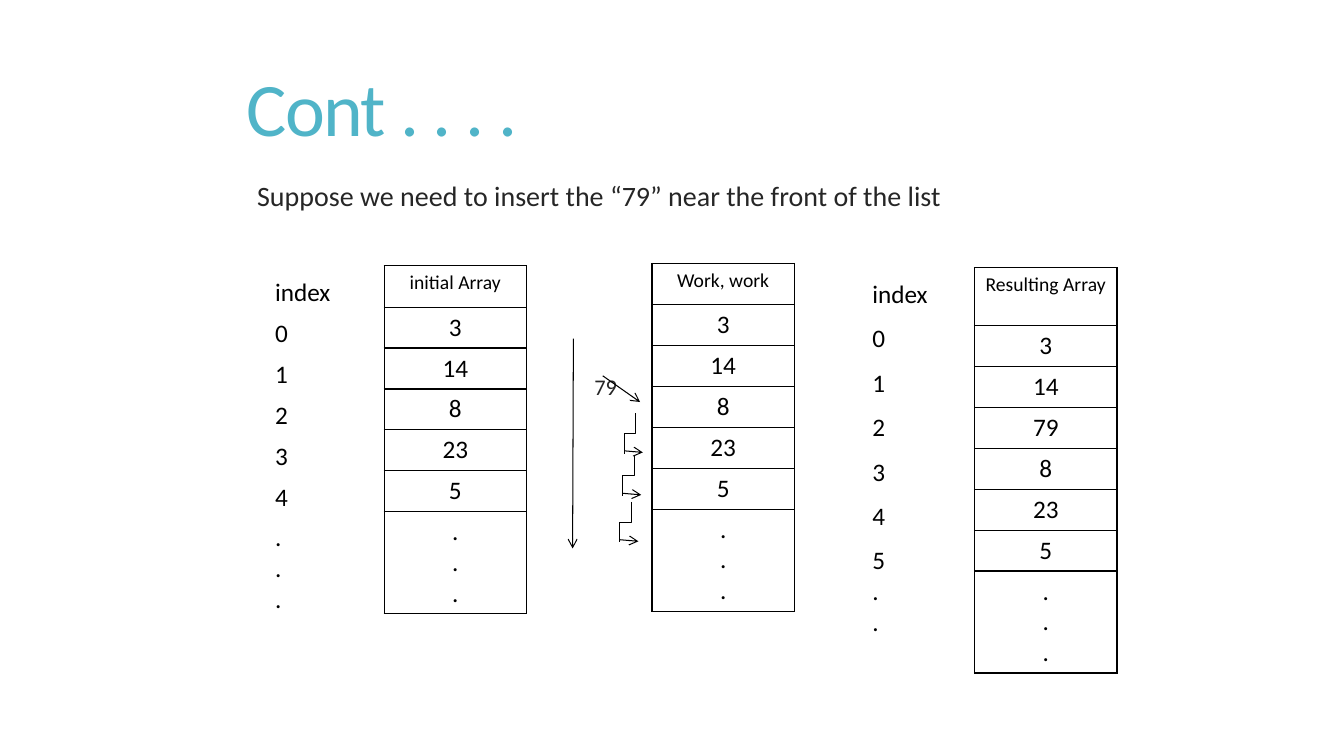
"""Slide showing how inserting 79 near the front shifts the rest of an array."""
from lxml import etree
from pptx import Presentation
from pptx import util as u
from pptx.dml.color import RGBColor
from pptx.enum import shapes, text
from pptx.oxml import parse_xml
from pptx.oxml.ns import nsdecls, qn

Cm = u.Cm
BLACK, WHITE, GREY, TEAL = "000000", "FFFFFF", "262626", "50B4C8"


def color(value):
    return RGBColor.from_string(value)


def connect(kind, x1, y1, x2, y2, arrow=True):
    c = s.shapes.add_connector(kind, Cm(x1), Cm(y1), Cm(x2), Cm(y2))
    c.line.width = u.Pt(0.75)
    c.line.color.rgb = color(BLACK)
    if arrow:
        etree.SubElement(c.line._get_or_add_ln(), qn("a:tailEnd"), type="arrow")
    etree.SubElement(c._element.spPr, qn("a:effectLst"))
    return c


prs = Presentation()
prs.slide_width, prs.slide_height = Cm(33.87), Cm(19.05)
s = prs.slides.add_slide(prs.slide_layouts[6])

labels = [
    ("Suppose we need to insert the “79” near the front of the list", 6.48, 4.4, 21, 1.2, 20, GREY),
    ("79", 14.98, 9.2, 1, 1.2, 16, GREY),
    ("Cont . . . . ", 6.22, 1.02, 21.4, 3.68, 54, TEAL),
]
for words, x, y, w, h, size, ink in labels:
    tf = s.shapes.add_textbox(Cm(x), Cm(y), Cm(w), Cm(h)).text_frame
    tf.word_wrap = True
    tf.margin_left = tf.margin_right = tf.margin_top = tf.margin_bottom = 0
    tf.vertical_anchor = text.MSO_ANCHOR.MIDDLE
    p = tf.paragraphs[0]
    p.text = words
    p.line_spacing = 0.85
    r = p.runs[0]
    r.font.name, r.font.size = "Calibri", u.Pt(size)
    r.font.color.rgb = color(ink)
    if ink == TEAL:
        r._r.get_or_add_rPr().set("spc", "-120")

dots = ".\n.\n."
start = ["3", "14", "8", "23", "5", dots]
result = ["3", "14", "79", "8", "23", "5", dots]
arrays = [
    ("initial Array", start, 9.68, 6.7, 1.04, 1.03, True),
    ("index", ["0", "1", "2", "3", "4", dots], 6.68, 6.87, 1.03, 1.03, False),
    ("Work, work", start, 16.43, 6.64, 1.04, 1.03, True),
    ("Resulting Array", result, 24.56, 6.75, 1.46, 1.03, True),
    ("index", ["0", "1", "2", "3", "4", "5\n.\n."], 21.73, 6.91, 1.12, 1.12, False),
]
for head, values, x, y, head_h, row_h, boxed in arrays:
    heights = [head_h] + [row_h] * (len(values) - 1) + [2.57]
    width = 3.59 if boxed else 2.57
    table = s.shapes.add_table(
        len(heights), 1, Cm(x), Cm(y), Cm(width), Cm(sum(heights))).table
    table.first_row = table.horz_banding = False
    for i, (value, height) in enumerate(zip([head] + values, heights)):
        table.rows[i].height = Cm(height)
        cell = table.cell(i, 0)
        cell.text_frame.text = value
        for p in cell.text_frame.paragraphs:
            if boxed:
                p.alignment = text.PP_ALIGN.CENTER
            font = p.runs[0].font
            font.name, font.size = "Calibri", u.Pt(14 if boxed and i == 0 else 18)
            font.color.rgb = color(BLACK)
        tcPr = cell._tc.get_or_add_tcPr()
        for side in ("lnL", "lnR", "lnT", "lnB"):
            paint = f'<a:solidFill><a:srgbClr val="{BLACK}"/></a:solidFill>' if boxed else "<a:noFill/>"
            tcPr.append(parse_xml(f'<a:{side} {nsdecls("a")} w="12700">{paint}</a:{side}>'))
        cell.fill.solid()
        cell.fill.fore_color.rgb = color(WHITE)

straight, elbow = shapes.MSO_CONNECTOR.STRAIGHT, shapes.MSO_CONNECTOR.ELBOW
connect(straight, 15.19, 9.47, 16.13, 10.13)
connect(straight, 14.45, 8.53, 14.43, 13.82)

drop, jog = 1.02, 0.29
for x, y in [(15.73, 10.41), (15.69, 11.48), (15.62, 12.65)]:
    mid_x, mid_y = x + jog / 2, y + drop / 2
    c = connect(elbow, mid_x - drop / 2, mid_y - jog / 2,
                mid_x + drop / 2, mid_y + jog / 2, arrow=False)
    c._element.spPr.find(qn("a:xfrm")).set("rot", "5400000")
    connect(straight, x, y + 0.95, x + 0.47, y + 0.99)

prs.save("out.pptx")
